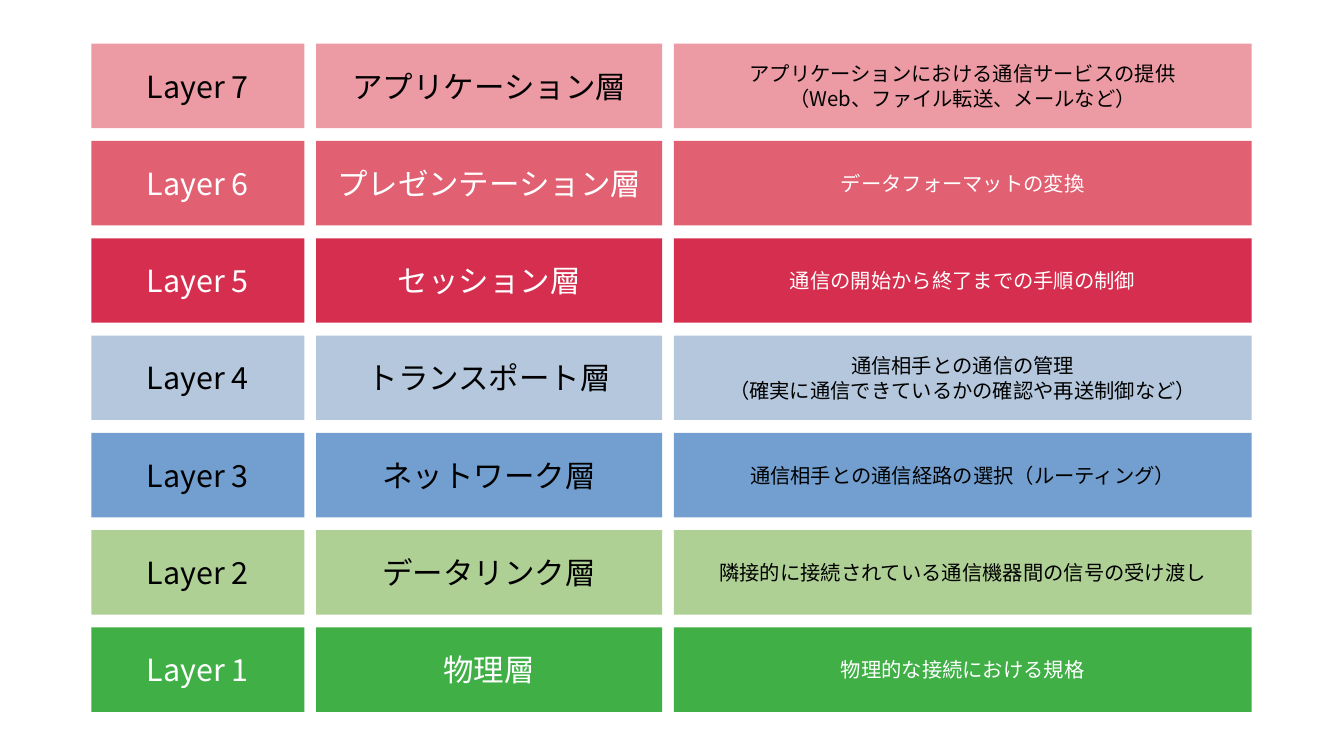
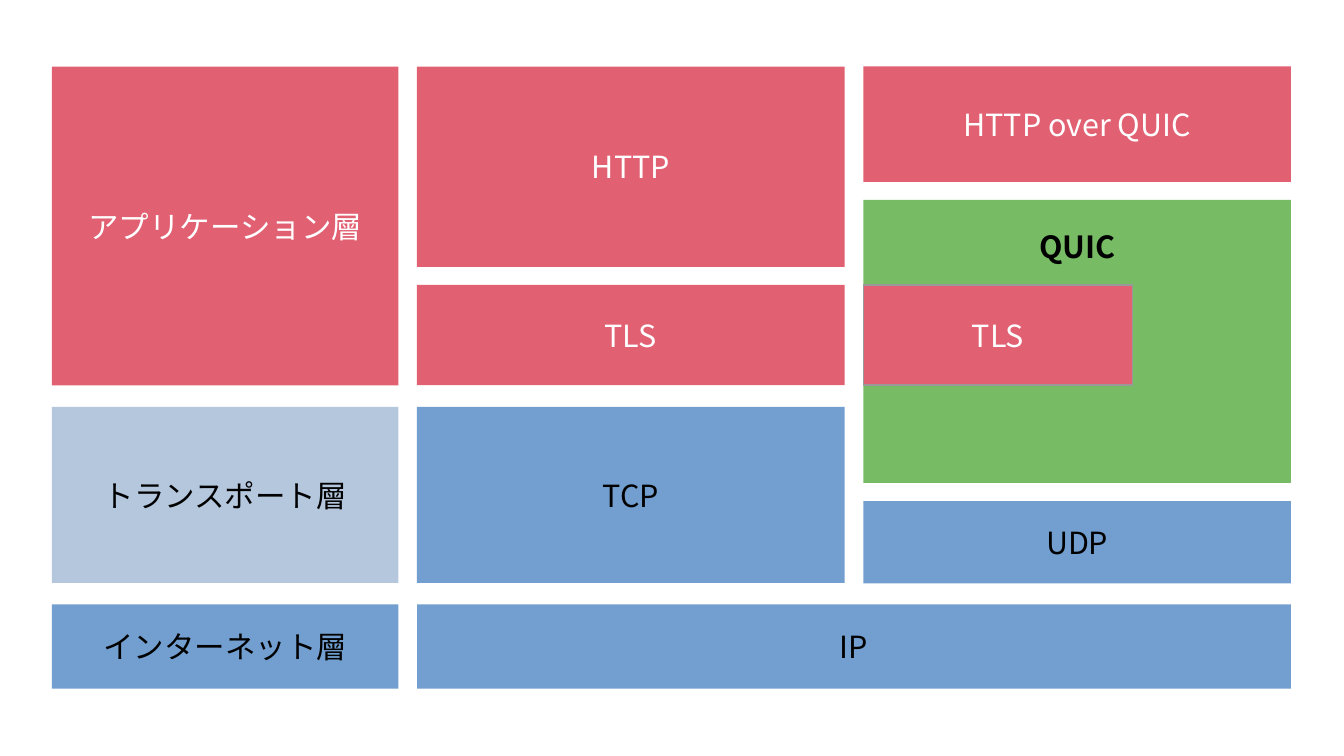
from itertools import accumulate

from lxml import etree
from pptx import Presentation
from pptx.dml.color import RGBColor
from pptx.enum.shapes import MSO_SHAPE
from pptx.enum.text import MSO_ANCHOR, PP_ALIGN
from pptx.oxml.ns import qn
from pptx.util import Pt

RECT = MSO_SHAPE.RECTANGLE
CENTER = PP_ALIGN.CENTER
TOP, MIDDLE = MSO_ANCHOR.TOP, MSO_ANCHOR.MIDDLE

FONT = "Noto Sans CJK SC"
WHITE = RGBColor(0xFF, 0xFF, 0xFF)
BLACK = RGBColor(0x00, 0x00, 0x00)
GRAY = RGBColor(0x99, 0x99, 0x99)
PINK = RGBColor(0xEC, 0x9B, 0xA4)
ROSE = RGBColor(0xE1, 0x61, 0x73)
RED = RGBColor(0xD6, 0x2E, 0x4E)
PALE_BLUE = RGBColor(0xB4, 0xC7, 0xDC)
BLUE = RGBColor(0x72, 0x9F, 0xCF)
PALE_GREEN = RGBColor(0xAF, 0xD0, 0x95)
MID_GREEN = RGBColor(0x77, 0xBC, 0x65)
GREEN = RGBColor(0x3F, 0xAF, 0x46)
DARK_FILLS = (ROSE, RED, GREEN)  # these carry white text

# Slide 1: the seven layers, top to bottom
OSI_LAYERS = [
    ("アプリケーション層",
     "アプリケーションにおける通信サービスの提供\n（Web、ファイル転送、メールなど）", PINK),
    ("プレゼンテーション層", "データフォーマットの変換", ROSE),
    ("セッション層", "通信の開始から終了までの手順の制御", RED),
    ("トランスポート層",
     "通信相手との通信の管理\n（確実に通信できているかの確認や再送制御など）", PALE_BLUE),
    ("ネットワーク層", "通信相手との通信経路の選択（ルーティング）", BLUE),
    ("データリンク層", "隣接的に接続されている通信機器間の信号の受け渡し", PALE_GREEN),
    ("物理層", "物理的な接続における規格", GREEN),
]
OSI_LEFT, OSI_TOP, OSI_GAP = 54, 25.8, 7
OSI_WIDTHS = (125.7, 204.2, 341)
OSI_SIZES = (18, 18, 12)
OSI_HEIGHT, OSI_STEP = 49.9, 57.45

# Slide 2: layer names, then the protocols that fill each layer
TCPIP_LAYERS = [
    ("アプリケーション層", ROSE, 188.3),
    ("トランスポート層", PALE_BLUE, 103.9),
    ("インターネット層", BLUE, 49.8),
]
TCP_APP = [("HTTP", ROSE, 118.3), ("TLS", ROSE, 59.2)]
QUIC_STACK = [
    ("HTTP over QUIC", ROSE, 68.1),
    ("QUIC", MID_GREEN, 167.1),
    ("UDP", BLUE, 48.6),
]
STACK_LEFT, STACK_TOP = 30.7, 39.3
STACK_WIDTHS = (204.5, 252.5, 252.5)
COLUMN_GAP, LAYER_GAP, PROTOCOL_GAP = 11, 12.7, 10.7
QUIC_TLS_WIDTH = 159


def starts(first, sizes, gap):
    """Start of each part when parts follow one another with one gap."""
    return list(accumulate((size + gap for size in sizes[:-1]), initial=first))


def add_block(s, text, fill, left, top, width, height, size=18, bold=False):
    sp = s.shapes.add_shape(RECT, Pt(left), Pt(top), Pt(width), Pt(height))
    sp.shadow.inherit = False
    sp.fill.solid()
    sp.fill.fore_color.rgb = fill
    sp.line.fill.background()
    tf = sp.text_frame
    tf.vertical_anchor = MIDDLE
    tf.text = text
    for p in tf.paragraphs:
        p.alignment = CENTER
        p.font.size = Pt(size)
        p.font.bold = bold
        p.font.color.rgb = WHITE if fill in DARK_FILLS else BLACK
        p.font.name = FONT
        # East Asian glyphs take their font from a separate element
        etree.SubElement(p._p.pPr.find(qn("a:defRPr")), qn("a:ea"), typeface=FONT)
    return sp


def add_stack(s, blocks, left, top, width, gap):
    tops = starts(top, [height for _, _, height in blocks], gap)
    return [add_block(s, text, fill, left, y, width, height)
            for (text, fill, height), y in zip(blocks, tops)]


def build_osi(s):
    lefts = starts(OSI_LEFT, OSI_WIDTHS, OSI_GAP)
    for i, (name, role, fill) in enumerate(OSI_LAYERS):
        top = OSI_TOP + i * OSI_STEP
        texts = (f"Layer {len(OSI_LAYERS) - i}", name, role)
        for text, left, width, size in zip(texts, lefts, OSI_WIDTHS, OSI_SIZES):
            add_block(s, text, fill, left, top, width, OSI_HEIGHT, size)


def build_protocols(s):
    name_x, tcp_x, quic_x = starts(STACK_LEFT, STACK_WIDTHS, COLUMN_GAP)
    name_w, tcp_w, quic_w = STACK_WIDTHS
    heights = [height for _, _, height in TCPIP_LAYERS]
    _, transport_y, internet_y = starts(STACK_TOP, heights, LAYER_GAP)
    _, transport_h, internet_h = heights

    # Layer names and the shared IP row
    add_stack(s, TCPIP_LAYERS, name_x, STACK_TOP, name_w, LAYER_GAP)
    add_block(s, "IP", BLUE, tcp_x, internet_y, quic_x + quic_w - tcp_x, internet_h)

    # TCP column
    add_stack(s, TCP_APP, tcp_x, STACK_TOP, tcp_w, PROTOCOL_GAP)
    add_block(s, "TCP", BLUE, tcp_x, transport_y, tcp_w, transport_h)

    # QUIC column, with its heading above the TLS block inside it
    _, quic, _ = add_stack(s, QUIC_STACK, quic_x, STACK_TOP, quic_w, PROTOCOL_GAP)
    tf = quic.text_frame
    tf.vertical_anchor = TOP
    tf.margin_top = Pt(16.5)
    tf.paragraphs[0].font.bold = True
    text, fill, tls_h = TCP_APP[1]
    tls_y = STACK_TOP + TCP_APP[0][2] + PROTOCOL_GAP
    tls = add_block(s, text, fill, quic_x, tls_y, QUIC_TLS_WIDTH, tls_h)
    tls.line.color.rgb = GRAY
    tls.line.width = Pt(1)


def main():
    prs = Presentation()
    prs.slide_width, prs.slide_height = Pt(793.44), Pt(446.4)
    for build in (build_osi, build_protocols):
        build(prs.slides.add_slide(prs.slide_layouts[6]))
    prs.save("out.pptx")


if __name__ == "__main__":
    main()
